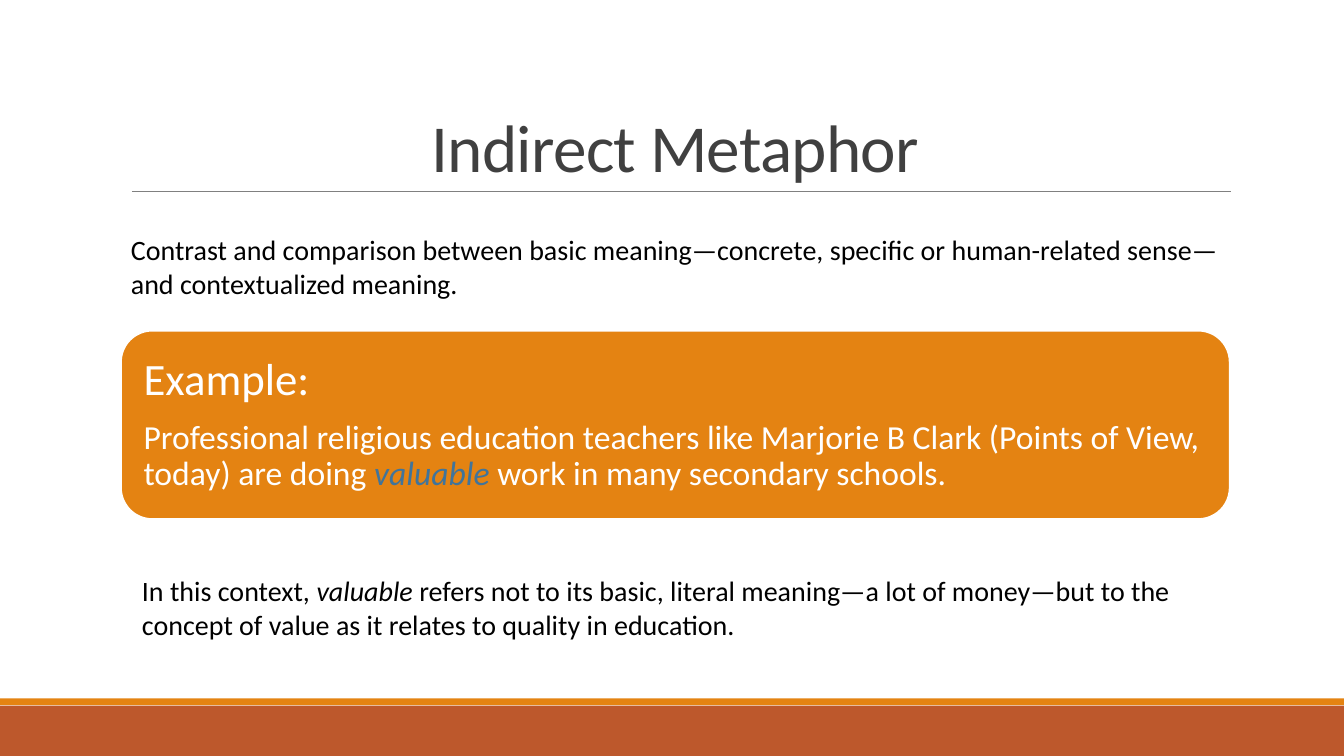
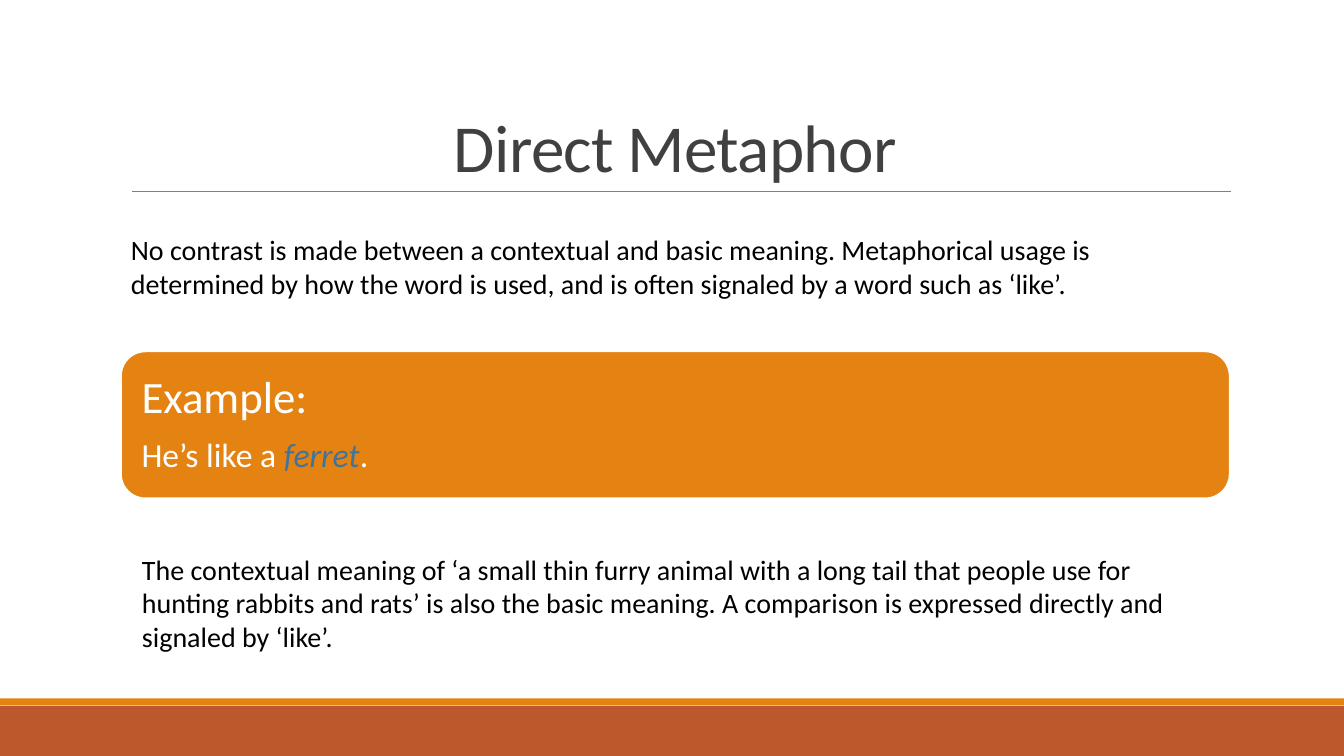
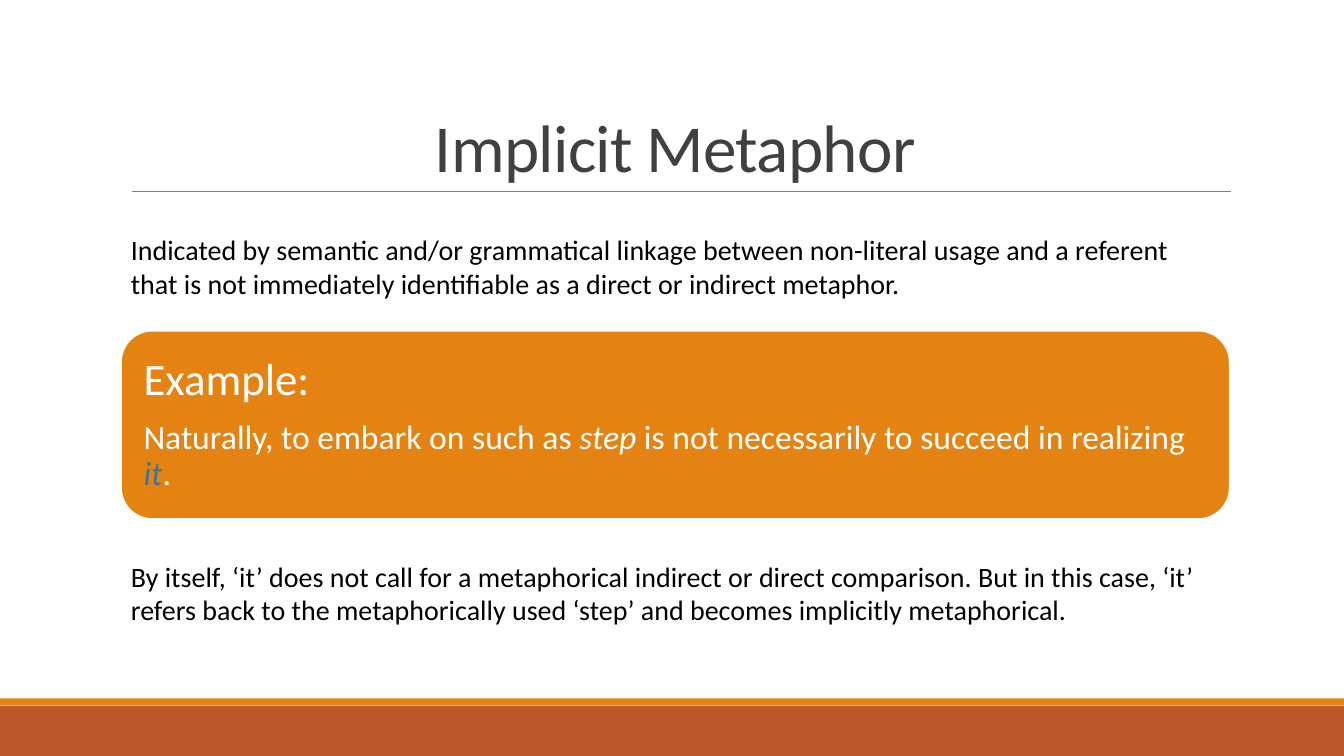
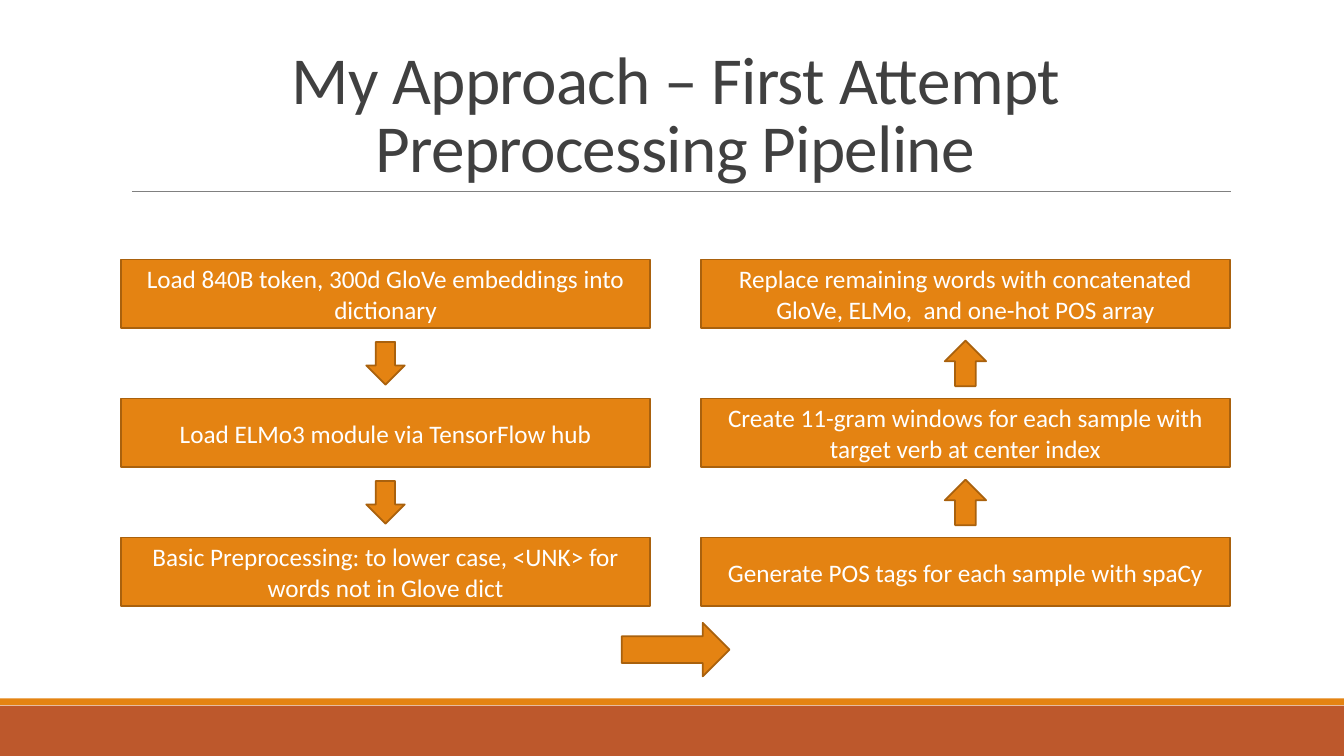
from lxml import etree
from pptx import Presentation
from pptx.dml.color import RGBColor
from pptx.enum.shapes import MSO_CONNECTOR, MSO_SHAPE
from pptx.enum.text import MSO_ANCHOR, PP_ALIGN
from pptx.oxml.ns import qn
from pptx.util import Pt

# Enum members
RECTANGLE = MSO_SHAPE.RECTANGLE
ROUNDED = MSO_SHAPE.ROUNDED_RECTANGLE
PROCESS = MSO_SHAPE.FLOWCHART_PROCESS
DOWN, UP, RIGHT = MSO_SHAPE.DOWN_ARROW, MSO_SHAPE.UP_ARROW, MSO_SHAPE.RIGHT_ARROW
STRAIGHT = MSO_CONNECTOR.STRAIGHT
MIDDLE, BOTTOM = MSO_ANCHOR.MIDDLE, MSO_ANCHOR.BOTTOM
LEFT_ALIGN, CENTER = PP_ALIGN.LEFT, PP_ALIGN.CENTER

# Theme
FONT = "Calibri"
ORANGE = RGBColor(0xE4, 0x83, 0x12)
RUST = RGBColor(0xBD, 0x58, 0x2C)
BROWN = RGBColor(0xA9, 0x61, 0x0D)
BLUE = RGBColor(0x40, 0x74, 0x9B)
DARK = RGBColor(0x40, 0x40, 0x40)
GRAY = RGBColor(0x80, 0x80, 0x80)
WHITE = RGBColor(0xFF, 0xFF, 0xFF)
BLACK = RGBColor(0, 0, 0)

# Layout, in points
SLIDE_WIDTH, SLIDE_HEIGHT = 960, 540
MARGIN, CONTENT_WIDTH = 86.4, 792
RULE_LEFT, RULE_RIGHT, RULE_TOP = 94.3, 879.1, 136.8
EXAMPLE_MIDDLE = 303.5
STEP_WIDTH, STEP_HEIGHT = 378, 49
STEP_LEFTS, STEP_TOP, STEP_PITCH = (MARGIN, 500.6), 185.4, 99.3

# Each run is (text, italic, colour); a colour of None keeps the paragraph's
METAPHORS = [
    {
        "title": "Indirect Metaphor",
        "definition": "Contrast and comparison between basic meaning—concrete, specific "
                      "or human-related sense—and contextualized meaning.",
        "example": [
            ("Professional religious education teachers like Marjorie B Clark "
             "(Points of View, today) are doing ", False, None),
            ("valuable", True, BLUE),
            (" work in many secondary schools.", False, None),
        ],
        "example_height": 134.6,
        "explanation": [
            ("In this context, ", False, None),
            ("valuable", True, None),
            (" refers not to its basic, literal meaning—a lot of money—but to the "
             "concept of value as it relates to quality in education.", False, None),
        ],
        "explanation_box": (94.3, 406.1, 771, 55.4),
    },
    {
        "title": "Direct Metaphor",
        "definition": "No contrast is made between a contextual and basic meaning. "
                      "Metaphorical usage is determined by how the word is used, and is "
                      "often signaled by a word such as ‘like’.",
        "example": [
            ("He’s like a ", False, None),
            ("ferret", True, BLUE),
            (".", False, None),
        ],
        "example_height": 105,
        "explanation": [
            ("The contextual meaning of ‘a small thin furry animal with a long tail that "
             "people use for hunting rabbits and rats’ is also the basic meaning. A "
             "comparison is expressed directly and signaled by ‘like’.", False, None),
        ],
        "explanation_box": (94.3, 391, 771, 80),
    },
    {
        "title": "Implicit Metaphor",
        "definition": "Indicated by semantic and/or grammatical linkage between non-literal "
                      "usage and a referent that is not immediately identifiable as a "
                      "direct or indirect metaphor.",
        "example": [
            ("Naturally, to embark on such as ", False, None),
            ("step", True, None),
            (" is not necessarily to succeed in realizing ", False, None),
            ("it", True, BLUE),
            (".", False, None),
        ],
        "example_height": 134.6,
        "explanation": [
            ("By itself, ‘it’ does not call for a metaphorical indirect or direct "
             "comparison. But in this case, ‘it’ refers back to the metaphorically used "
             "‘step’ and becomes implicitly metaphorical.", False, None),
        ],
        "explanation_box": (MARGIN, 396, 787, 55.4),
    },
]

# Pipeline columns, top to bottom, with the arrow between their steps
PIPELINE = [
    (DOWN, (27.5, 30.5), [
        "Load 840B token, 300d GloVe embeddings into dictionary",
        "Load ELMo3 module via TensorFlow hub",
        "Basic Preprocessing: to lower case, <UNK> for words not in Glove dict",
    ]),
    (UP, (29.5, 32.5), [
        "Replace remaining words with concatenated GloVe, ELMo,  and one-hot POS array",
        "Create 11-gram windows for each sample with target verb at center index",
        "Generate POS tags for each sample with spaCy",
    ]),
]


def points(box):
    return [Pt(length) for length in box]


def write(paragraph, runs, size, color, alignment=LEFT_ALIGN):
    """Fill a paragraph with runs in one base style."""
    paragraph.alignment = alignment
    paragraph.font.name = FONT
    paragraph.font.size = Pt(size)
    paragraph.font.color.rgb = color
    for text, italic, run_color in runs:
        run = paragraph.add_run()
        run.text = text
        if italic:
            run.font.italic = True
        if run_color is not None:
            run.font.color.rgb = run_color


def add_block(slide, kind, box, fill, line=None):
    shape = slide.shapes.add_shape(kind, *points(box))
    shape.shadow.inherit = False
    shape.fill.solid()
    shape.fill.fore_color.rgb = fill
    if line is None:
        shape.line.fill.background()
    else:
        shape.line.color.rgb = line
        shape.line.width = Pt(1.25)
    return shape


def add_text(slide, box, runs, size=20, color=BLACK, alignment=LEFT_ALIGN):
    frame = slide.shapes.add_textbox(*points(box)).text_frame
    frame.word_wrap = True
    write(frame.paragraphs[0], runs, size, color, alignment)
    return frame


def add_base_slide(presentation, title):
    """Add a slide with the footer bands, the rule and the title."""
    slide = presentation.slides.add_slide(presentation.slide_layouts[6])
    add_block(slide, RECTANGLE, (0, 504, SLIDE_WIDTH, 36), RUST)
    add_block(slide, RECTANGLE, (0, 498.8, SLIDE_WIDTH, 5), ORANGE)

    rule = slide.shapes.add_connector(
        STRAIGHT, *points((RULE_LEFT, RULE_TOP, RULE_RIGHT, RULE_TOP)))
    rule.line.color.rgb = GRAY
    rule.line.width = Pt(0.5)
    etree.SubElement(rule._element.spPr, qn("a:effectLst"))

    frame = add_text(slide, (MARGIN, 22.3, CONTENT_WIDTH, 114.5),
                     [(title, False, None)], 48, DARK, CENTER)
    frame.vertical_anchor = BOTTOM
    paragraph = frame.paragraphs[0]
    paragraph.line_spacing = 0.85
    paragraph.runs[0]._r.get_or_add_rPr().set("spc", "-50")
    return slide


def add_example(slide, runs, height):
    box = (MARGIN, EXAMPLE_MIDDLE - height / 2, CONTENT_WIDTH, height)
    frame = add_block(slide, ROUNDED, box, ORANGE, WHITE).text_frame
    frame.word_wrap = True
    frame.vertical_anchor = MIDDLE
    frame.margin_left = frame.margin_right = Pt(9.6)
    frame.margin_top = frame.margin_bottom = Pt(9.6)
    heading, sentence = frame.paragraphs[0], frame.add_paragraph()
    write(heading, [("Example:", False, None)], 32, WHITE)
    write(sentence, runs, 24, WHITE)
    heading.line_spacing = sentence.line_spacing = 0.9
    heading.space_after = Pt(11.2)


def add_step(slide, left, top, text):
    box = (left, top, STEP_WIDTH, STEP_HEIGHT)
    frame = add_block(slide, PROCESS, box, ORANGE, BROWN).text_frame
    frame.word_wrap = True
    frame.vertical_anchor = MIDDLE
    write(frame.paragraphs[0], [(text, False, None)], 18, WHITE, CENTER)


def add_arrow(slide, kind, center_x, center_y, size):
    width, height = size
    box = (center_x - width / 2, center_y - height / 2, width, height)
    add_block(slide, kind, box, ORANGE, BROWN)


def build_metaphor(presentation, content):
    slide = add_base_slide(presentation, content["title"])
    add_example(slide, content["example"], content["example_height"])
    add_text(slide, (MARGIN, 162.7, CONTENT_WIDTH, 55.4),
             [(content["definition"], False, None)])
    add_text(slide, content["explanation_box"], content["explanation"])


def build_pipeline(presentation):
    slide = add_base_slide(presentation, "My Approach – First Attempt Preprocessing Pipeline")
    for left, (arrow, arrow_size, steps) in zip(STEP_LEFTS, PIPELINE):
        for row, text in enumerate(steps):
            top = STEP_TOP + row * STEP_PITCH
            add_step(slide, left, top, text)
            if row:
                gap_middle = top - (STEP_PITCH - STEP_HEIGHT) / 2
                add_arrow(slide, arrow, left + STEP_WIDTH / 2, gap_middle, arrow_size)
    # Arrow from the left column to the right one
    add_arrow(slide, RIGHT, 482.6, 464, (77, 38.2))


def main():
    presentation = Presentation()
    presentation.slide_width = Pt(SLIDE_WIDTH)
    presentation.slide_height = Pt(SLIDE_HEIGHT)
    for content in METAPHORS:
        build_metaphor(presentation, content)
    build_pipeline(presentation)
    presentation.save("out.pptx")


if __name__ == "__main__":
    main()
